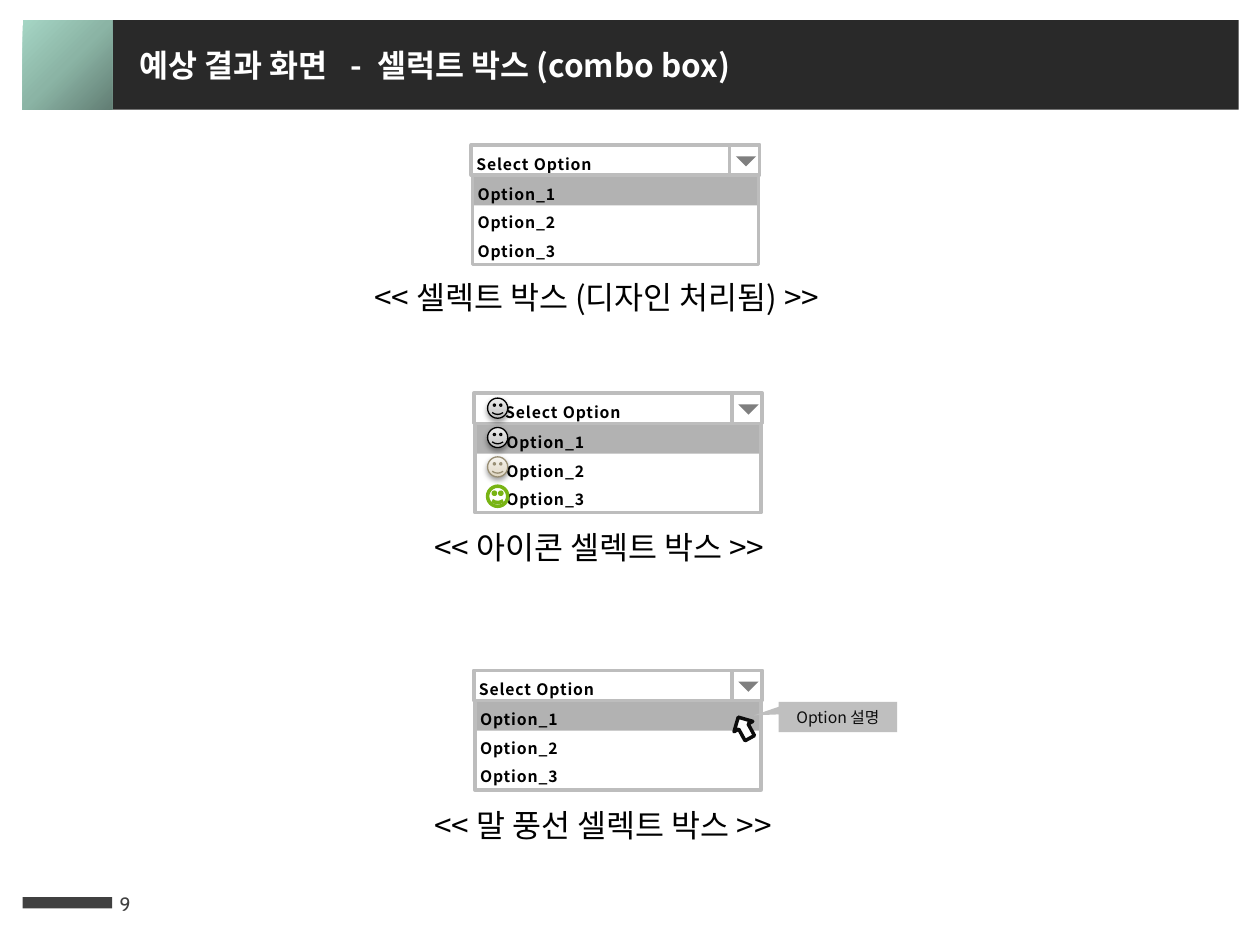
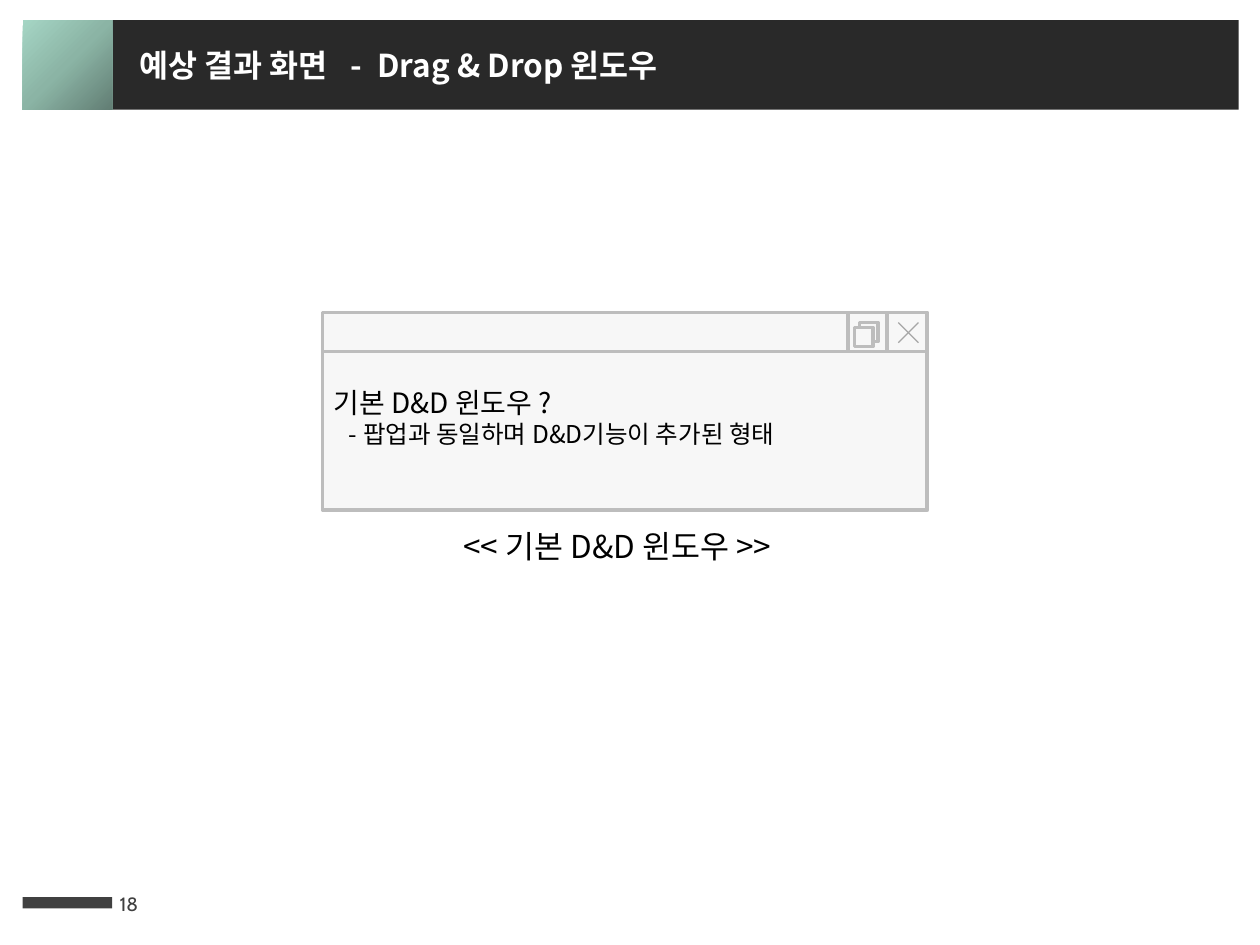
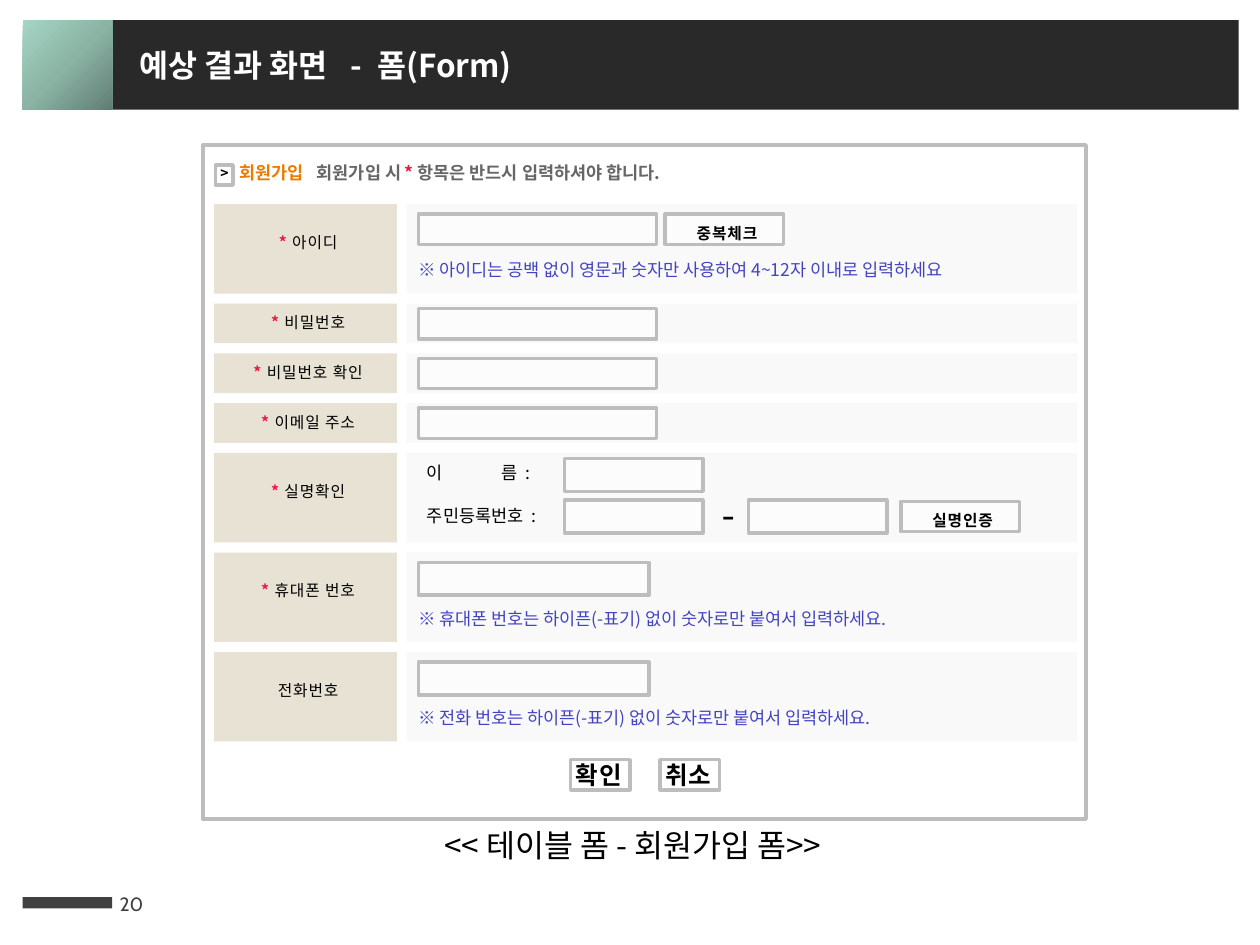
from dataclasses import dataclass, replace

from pptx import Presentation
from pptx import util as u
from pptx.dml.color import RGBColor
from pptx.enum import shapes, text
from pptx.oxml import ns, parse_xml

COLUMNS, ROWS = 100, 75
UNIT = u.Inches(0.1)

WHITE = RGBColor(0xFF, 0xFF, 0xFF)
BLACK = RGBColor(0x00, 0x00, 0x00)
BAND = RGBColor(0x29, 0x29, 0x29)
CHARCOAL = RGBColor(0x40, 0x40, 0x40)
INK = RGBColor(0x0D, 0x0D, 0x0D)
BORDER = RGBColor(0xBD, 0xBD, 0xBD)
BUBBLE = RGBColor(0xBF, 0xBF, 0xBF)
ARROW = RGBColor(0x7F, 0x7F, 0x7F)
CROSS = RGBColor(0xA6, 0xA6, 0xA6)
WINDOW = RGBColor(0xF7, 0xF7, 0xF7)
FIELD_BAND = RGBColor(0xF6, 0xF6, 0xF6)
LABEL = RGBColor(0xE8, 0xE2, 0xD4)
RED = RGBColor(0xED, 0x17, 0x46)
ORANGE = RGBColor(0xED, 0x7B, 0x00)
GRAY = RGBColor(0x66, 0x66, 0x66)
BLUE = RGBColor(0x43, 0x43, 0xC3)
GREEN = RGBColor(0x78, 0xB4, 0x14)
SAND_LINE = RGBColor(0x98, 0x8E, 0x74)

GREEN_STOPS = [(0, "627E74"), (50, "8BB4A5"), (100, "A5D5C4")]
SILVER_STOPS = [(0, "BDBDBD"), (35, "D1D1D1"), (100, "EEEEEE")]
SAND_STOPS = [(0, "DFD5C0"), (35, "E8E1D3"), (100, "F6F4EE")]
CORNER = '<a:path path="circle"><a:fillToRect l="100000" t="100000"/></a:path>'
UPWARD = '<a:lin ang="16200000" scaled="1"/>'

RECTANGLE = shapes.MSO_SHAPE.RECTANGLE
TOP, MIDDLE = text.MSO_ANCHOR.TOP, text.MSO_ANCHOR.MIDDLE
CENTER = text.PP_ALIGN.CENTER
TIGHT = (0.4, 0, 0, 0)
ROOMY = (1, 0.5, 1, 0.5)


@dataclass(frozen=True)
class Style:
    size: float
    color: RGBColor = BLACK
    bold: bool = False
    font: str = "Noto Sans CJK KR"
    spacing: float = 0
    leading: float = 1
    align: text.PP_ALIGN = text.PP_ALIGN.LEFT
    indent: float = 0


@dataclass(frozen=True)
class Piece:
    words: str
    color: RGBColor = None
    bold: bool = None
    spacing: float = None


TITLE = Style(18, WHITE, True)
CAPTION = Style(18)
NUMBER = Style(11, CHARCOAL, font="Cabin")
OPTION = Style(9, bold=True, spacing=0.5, leading=1.5)
BUTTON = replace(OPTION, align=CENTER)
CELL = replace(BUTTON, bold=False)
ACTION = Style(14, bold=True, spacing=0.5)
NOTE = Style(10, BLUE)
FIELD_NAME = Style(10)


def grid(*lengths):
    return [int(length * UNIT) for length in lengths]


def gap(points):
    return Piece(" ", spacing=points)


def set_spacing(font, points):
    font._element.set("spc", str(int(points * 100)))


def style_paragraph(para, style):
    para.alignment = style.align
    para.line_spacing = style.leading
    properties = para._p.get_or_add_pPr()
    properties.set("marL", str(int(style.indent * UNIT)))
    properties.set("indent", "0")
    font = para.font
    font.size, font.bold, font.name = u.Pt(style.size), style.bold, style.font
    font.color.rgb = style.color
    set_spacing(font, style.spacing)
    font._element.append(
        parse_xml(f'<a:ea {ns.nsdecls("a")} typeface="{style.font}"/>'))


def write(shape, lines, insets=ROOMY, anchor=TOP):
    frame = shape.text_frame
    frame.word_wrap = True
    frame.vertical_anchor = anchor
    (frame.margin_left, frame.margin_top,
     frame.margin_right, frame.margin_bottom) = grid(*insets)
    for index, (pieces, style) in enumerate(lines):
        para = frame.add_paragraph() if index else frame.paragraphs[0]
        style_paragraph(para, style)
        for piece in [Piece(pieces)] if isinstance(pieces, str) else pieces:
            span = para.add_run()
            span.text = piece.words
            if piece.color is not None:
                span.font.color.rgb = piece.color
            if piece.bold is not None:
                span.font.bold = piece.bold
            if piece.spacing is not None:
                set_spacing(span.font, piece.spacing)


def add_text(page, place, words, style, anchor=TOP):
    box = page.shapes.add_textbox(*grid(*place))
    write(box, [(words, style)], anchor=anchor)


def add_box(page, place, fill, line=None, weight=2, alpha=100, kind=RECTANGLE):
    box = page.shapes.add_shape(kind, *grid(*place))
    box.shadow.inherit = False
    box.fill.solid()
    box.fill.fore_color.rgb = fill
    if alpha < 100:
        color = box._element.spPr.find(ns.qn("a:solidFill"))[0]
        color.append(parse_xml(f'<a:alpha {ns.nsdecls("a")} val="{alpha * 1000}"/>'))
    if line is None:
        box.line.fill.background()
    else:
        box.line.color.rgb = line
        box.line.width = u.Pt(weight)
    return box


def add_frame(page, place):
    return add_box(page, place, WHITE, BORDER, alpha=60)


def add_button(page, place, words, style=BUTTON):
    write(add_frame(page, place), [(words, style)], TIGHT)


def paint_gradient(box, stops, direction):
    colors = "".join(f'<a:gs pos="{at * 1000}"><a:srgbClr val="{color}"/></a:gs>'
                     for at, color in stops)
    properties = box._element.spPr
    properties.replace(properties.find(ns.qn("a:solidFill")), parse_xml(
        f'<a:gradFill {ns.nsdecls("a")} rotWithShape="1">'
        f'<a:gsLst>{colors}</a:gsLst>{direction}</a:gradFill>'))


def drop_shadow(box):
    box._element.spPr.find(ns.qn("a:effectLst")).append(parse_xml(
        f'<a:outerShdw {ns.nsdecls("a")} blurRad="{u.Pt(3.1)}" dist="{u.Pt(1.6)}" '
        'dir="5400000" rotWithShape="0"><a:srgbClr val="000000">'
        '<a:alpha val="38000"/></a:srgbClr></a:outerShdw>'))


def add_line(page, *ends):
    line = page.shapes.add_connector(shapes.MSO_CONNECTOR.STRAIGHT, *grid(*ends))
    line.line.color.rgb = CROSS
    line.line.width = u.Pt(0.75)
    line._element.spPr.append(parse_xml(f'<a:effectLst {ns.nsdecls("a")}/>'))


def add_page(deck, topic, number):
    page = deck.slides.add_slide(deck.slide_layouts[6])
    add_box(page, (8.9, 1.6, 89.4, 7.1), BAND)
    paint_gradient(add_box(page, (1.8, 1.6, 7.1, 7.1), WHITE), GREEN_STOPS, CORNER)
    add_box(page, (1.8, 71.2, 7.1, 0.9), CHARCOAL)
    add_text(page, (8.5, 69.7, 5.9, 4), str(number), NUMBER, MIDDLE)
    heading = [Piece("예상 결과 화면"), gap(9), Piece("-"), gap(4.5), Piece(topic)]
    add_text(page, (10.1, 3.2, 69.9, 4), heading, TITLE)
    return page


def add_select(page, left, top, indent=0):
    style = replace(OPTION, indent=indent)
    row = 2.4
    add_box(page, (left, top + row, 22.8, row), CHARCOAL)
    add_frame(page, (left + 20.5, top, row, row))
    add_button(page, (left, top, 20.5, row), "Select Option", style)
    triangle = add_box(page, (left + 21, top + 0.9, 1.6, 0.8), ARROW,
                       kind=shapes.MSO_SHAPE.ISOSCELES_TRIANGLE)
    triangle.rotation = 180
    options = add_frame(page, (left + 0.1, top + row, 22.7, 7.1))
    write(options, [(f"Option_{number}", style) for number in (1, 2, 3)], TIGHT)


def add_smileys(page, left, top):
    faces = [(SILVER_STOPS, BLACK, 0.75), (SILVER_STOPS, BLACK, 0.75),
             (SAND_STOPS, SAND_LINE, 0.75), (None, GREEN, 2)]
    for index, (stops, line, weight) in enumerate(faces):
        face = add_box(page, (left, top + index * 2.33, 1.6, 1.6), WHITE, line, weight,
                       kind=shapes.MSO_SHAPE.SMILEY_FACE)
        if stops:
            paint_gradient(face, stops, UPWARD)
            drop_shadow(face)


def build_select_page(deck):
    page = add_page(deck, "셀럭트 박스 (combo box)", 9)
    add_select(page, 37.4, 11.5)
    add_text(page, (28.7, 21.6, 42.5, 4), "<< 셀렉트 박스 (디자인 처리됨) >>", CAPTION)

    add_select(page, 37.6, 31.2, indent=2.1)
    add_smileys(page, 38.7, 31.6)
    add_text(page, (33.5, 41.4, 33.1, 4), "<< 아이콘 셀렉트 박스 >>", CAPTION)

    add_select(page, 37.6, 53.2)
    add_text(page, (33.5, 63.5, 32.9, 4), "<< 말 풍선 셀렉트 박스 >>", CAPTION)
    bubble = add_box(page, (61.8, 55.7, 9.4, 2.4), BUBBLE,
                     kind=shapes.MSO_SHAPE.RECTANGULAR_CALLOUT)
    bubble.adjustments[0], bubble.adjustments[1] = -0.71, -0.05
    write(bubble, [("Option 설명", Style(9, INK, align=CENTER))], anchor=MIDDLE)
    pointer = add_box(page, (58.2, 56.8, 1.7, 1.9), WHITE, INK,
                      kind=shapes.MSO_SHAPE.UP_ARROW)
    pointer.rotation = 331.2


def build_window_page(deck):
    page = add_page(deck, "Drag & Drop 윈도우", 18)
    panes = [(25.6, 24.8, 48, 3.2), (67.3, 24.8, 3.1, 3.1), (25.6, 27.9, 48, 12.6),
             (68.2, 25.6, 1.5, 1.5), (67.8, 26, 1.5, 1.5)]
    boxes = [add_box(page, pane, WINDOW, BORDER) for pane in panes]
    write(boxes[2], [("기본 D&D 윈도우 ?", Style(16)),
                     ("- 팝업과 동일하며 D&D기능이 추가된 형태", Style(14, indent=1.2))],
          (0.9, 2.7, 0, 0))
    left, top, right, bottom = 71.3, 25.6, 72.9, 27.2
    add_line(page, right, top, left, bottom)
    add_line(page, right, bottom, left, top)
    add_text(page, (35.8, 41.3, 31.5, 4), "<< 기본 D&D 윈도우 >>", CAPTION)


def add_form_row(page, top, height, label, required):
    cell = add_box(page, (17, top, 14.5, height), LABEL)
    mark = [Piece("* ", RED, True)] if required else []
    inset = 1.5 if height > 4 else 0
    write(cell, [(mark + [Piece(label)], CELL)], (0.4, inset, 0, 0))
    add_box(page, (32.3, top, 53.2, height), FIELD_BAND, alpha=60)


def build_form_page(deck):
    page = add_page(deck, "폼(Form)", 20)
    add_frame(page, (16.1, 11.5, 70.1, 53.5))
    add_button(page, (17.1, 13.1, 1.4, 1.6), ">", Style(8, bold=True, spacing=0.5))
    guide = [Piece("회원가입", ORANGE), gap(5.5), Piece("회원가입 시 "),
             Piece("* ", RED), Piece("항목은 반드시 입력하셔야 합니다.")]
    add_text(page, (18, 12.4, 69.3, 2.7), guide, Style(10, GRAY, True))

    tall, short, space = 7.1, 3.15, 0.8
    wide, phone = (0.4, 18.9, 2.4), (0.8, 18.3, 2.6)
    hyphen = "번호는 하이픈(-표기) 없이 숫자로만 붙여서 입력하세요."
    rows = [
        ("아이디", True, tall, (0.8, 18.9, 2.4),
         "※ 아이디는 공백 없이 영문과 숫자만 사용하여 4~12자 이내로 입력하세요"),
        ("비밀번호", True, short, wide, None),
        ("비밀번호 확인", True, short, wide, None),
        ("이메일 주소", True, short, wide, None),
        ("실명확인", True, tall, None, None),
        ("휴대폰 번호", True, tall, phone, f"※ 휴대폰 {hyphen}"),
        ("전화번호", False, tall, phone, f"※ 전화 {hyphen}"),
    ]
    top = 16.2
    for label, required, height, field, note in rows:
        add_form_row(page, top, height, label, required)
        if field:
            drop, width, depth = field
            add_frame(page, (33.2, top + drop, width, depth))
        if note:
            add_text(page, (32.2, top + 3.9, 50.4, 2.7), note, NOTE)
        top += height + space

    colon = [gap(2.5), Piece(":")]
    names = [([Piece("이"), gap(31), Piece("름")], 36.2),
             ([Piece("주민등록번호")], 39.6)]
    for name, row in names:
        add_text(page, (32.9, row, 11.8, 2.7), name + colon, FIELD_NAME)
    for column, row in [(44.8, 36.4), (44.8, 39.7), (59.4, 39.7)]:
        add_frame(page, (column, row, 11, 2.6))
    add_text(page, (56.3, 38.9, 2.4, 4), "-", Style(18, font="Cabin"))
    add_button(page, (52.8, 17, 9.4, 2.4), "중복체크")
    add_button(page, (71.5, 39.8, 9.4, 2.4), "실명인증")
    for index, words in enumerate(("확인", "취소")):
        add_button(page, (45.3 + index * 7.1, 60.3, 4.7, 2.4), words, ACTION)
    add_text(page, (34.3, 65.1, 50.4, 4), "<< 테이블 폼 - 회원가입 폼>>", CAPTION)


def main():
    deck = Presentation()
    deck.slide_width, deck.slide_height = grid(COLUMNS, ROWS)
    build_select_page(deck)
    build_window_page(deck)
    build_form_page(deck)
    deck.save("out.pptx")


if __name__ == "__main__":
    main()
